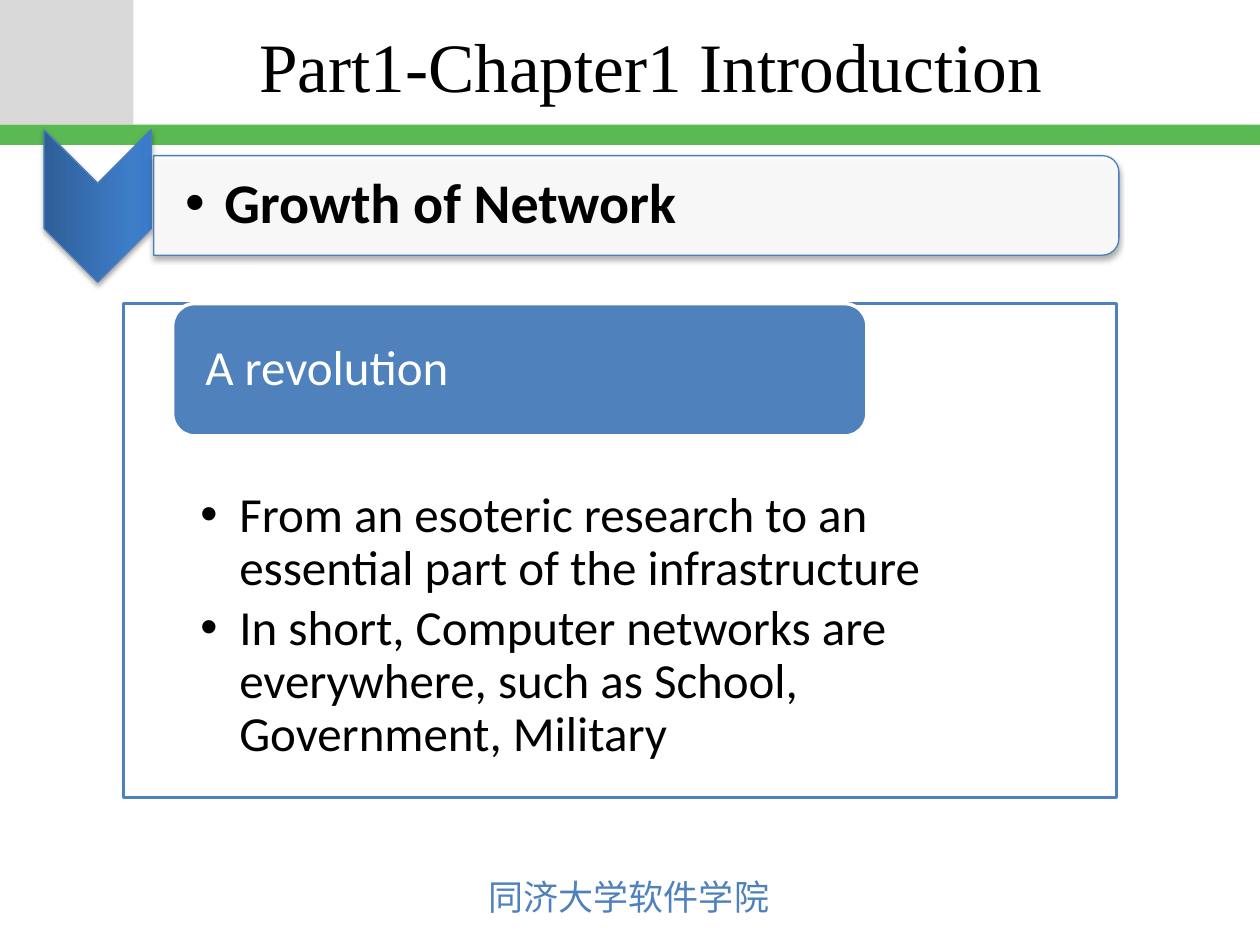
from dataclasses import dataclass

from lxml.etree import SubElement
from pptx import Presentation
from pptx.dml.color import RGBColor
from pptx.enum.shapes import MSO_SHAPE as Shape
from pptx.enum.text import MSO_ANCHOR as Anchor, PP_ALIGN as Align
from pptx.oxml import parse_xml
from pptx.oxml.ns import nsdecls, qn
from pptx.util import Inches, Pt

COLUMNS, ROWS = 100, 75
CELL = Inches(10) // COLUMNS
BLUE, EDGE, WHITE, BLACK = "4F81BD", "4B7EBC", "FFFFFF", "000000"
HANGING = 3.1


@dataclass
class Box:
    """An area of the slide, measured in grid cells."""
    left: float
    top: float
    width: float
    height: float

    def within(self, left, top, width, height):
        """Return a box placed relative to this one."""
        return Box(self.left + left, self.top + top, width, height)

    def emu(self):
        """Return left, top, width and height as lengths."""
        return [cells(n) for n in (self.left, self.top, self.width, self.height)]


def cells(count):
    """Turn grid cells into a length."""
    return round(count * CELL)


def color(hex_code):
    """Turn a hex string into a colour."""
    return RGBColor.from_string(hex_code)


def add_block(slide, kind, box, fill, edge=None, edge_width=2, turn=0, opacity=100):
    """Add a preset shape with a plain fill and an optional outline."""
    block = slide.shapes.add_shape(kind, *box.emu())
    block.shadow.inherit = False
    block.rotation = turn
    block.fill.solid()
    block.fill.fore_color.rgb = color(fill)
    if opacity < 100:
        tint = block._element.spPr.find(f"{qn('a:solidFill')}/{qn('a:srgbClr')}")
        SubElement(tint, qn("a:alpha"), val=str(opacity * 1000))
    if edge:
        block.line.color.rgb = color(edge)
        block.line.width = Pt(edge_width)
    else:
        block.line.fill.background()
    return block


def add_soft_shadow(block):
    """Drop a soft shadow below a shape."""
    effects = block._element.spPr.find(qn("a:effectLst"))
    effects.append(parse_xml(
        f'<a:outerShdw {nsdecls("a")} blurRad="{Pt(3.1)}" dist="{Pt(1.8)}" dir="5400000"'
        f' rotWithShape="0"><a:srgbClr val="{BLACK}"><a:alpha val="35000"/></a:srgbClr>'
        '</a:outerShdw>'))


def shade(block, stops, angle):
    """Replace a plain fill by a linear gradient."""
    steps = "".join(f'<a:gs pos="{share * 1000}"><a:srgbClr val="{tone}"/></a:gs>'
                    for share, tone in stops)
    plain = block._element.spPr.find(qn("a:solidFill"))
    plain.getparent().replace(plain, parse_xml(
        f'<a:gradFill {nsdecls("a")} rotWithShape="1"><a:gsLst>{steps}</a:gsLst>'
        f'<a:lin ang="{angle * 60000}" scaled="0"/></a:gradFill>'))


def add_bullet(paragraph):
    """Give a paragraph a round bullet and a hanging indent."""
    properties = paragraph._p.get_or_add_pPr()
    properties.set("marL", str(cells(HANGING)))
    properties.set("indent", str(-cells(HANGING)))
    SubElement(properties, qn("a:buFont"), typeface="Arial")
    SubElement(properties, qn("a:buChar"), char="•")


def add_text(slide, box, lines, size, tone, font="Calibri", bold=False, bullets=False,
             align=Align.LEFT, anchor=Anchor.MIDDLE, insets=(1, 0.5, 1, 0.5),
             spacing=0.9, wrap=True):
    """Add a text box with one run in each paragraph."""
    frame = slide.shapes.add_textbox(*box.emu()).text_frame
    frame.word_wrap = wrap
    frame.vertical_anchor = anchor
    (frame.margin_left, frame.margin_top,
     frame.margin_right, frame.margin_bottom) = map(cells, insets)
    for index, line in enumerate(lines):
        paragraph = frame.add_paragraph() if index else frame.paragraphs[0]
        if bullets:
            add_bullet(paragraph)
        paragraph.alignment = align
        paragraph.line_spacing = spacing
        paragraph.space_after = Pt(4) if len(lines) > 1 else Pt(0)
        run = paragraph.add_run()
        run.text = line
        run.font.size, run.font.name, run.font.bold = Pt(size), font, bold
        run.font.color.rgb = color(tone)
        if not line.isascii():
            SubElement(run._r.get_or_add_rPr(), qn("a:ea"), typeface=font)


def add_header(slide, box):
    """Draw the corner, the green band and the title."""
    band = 1.6
    above = box.height - band
    add_block(slide, Shape.RECTANGLE, box.within(0, 0, 10.6, above), "D9D9D9")
    add_block(slide, Shape.RECTANGLE, box.within(0, above, box.width, band), "5AB953")
    add_text(slide, box.within(17.4, 0.2, 68.5, 9.8), ["Part1-Chapter1 Introduction"],
             39.6, BLACK, "Times New Roman", align=Align.CENTER, spacing=1)


def add_topic(slide, box):
    """Draw the chevron and the topic bar beside it."""
    length, breadth = 12.1, 8.5
    chevron = add_block(
        slide, Shape.CHEVRON,
        box.within((breadth - length) / 2, (length - breadth) / 2, length, breadth),
        BLUE, EDGE, 0.75, turn=90)
    shade(chevron, [(0, "2F5F99"), (80, "3D7CC7"), (100, "3A7CCB")], 270)
    add_soft_shadow(chevron)
    width, height = box.width - breadth - 0.2, 7.9
    bar = box.within(box.width - width, 2.05, width, height)
    rounded = add_block(
        slide, Shape.ROUND_2_SAME_RECTANGLE,
        bar.within((width - height) / 2, (height - width) / 2, height, width),
        WHITE, EDGE, 0.75, turn=90, opacity=90)
    add_soft_shadow(rounded)
    add_text(slide, bar.within(0, 0.4, width - 0.4, height - 0.8), ["Growth of Network"],
             32, BLACK, bold=True, bullets=True, insets=(2.5, 0.2, 0.2, 0.2))


def add_panel(slide, box):
    """Draw the framed points with their heading tab."""
    add_block(slide, Shape.RECTANGLE, box, WHITE, BLUE, opacity=90)
    add_text(slide, box, [
        "From an esoteric research to an essential part of the infrastructure",
        "In short, Computer networks are everywhere, such as School, Government, Military",
    ], 28, BLACK, bullets=True, anchor=Anchor.TOP, insets=(6.1, 14.8, 6.1, 2.2))
    tab = box.within(3.9, 0, 55.1, 10.5)
    add_block(slide, Shape.ROUNDED_RECTANGLE, tab, BLUE, WHITE)
    add_text(slide, tab.within(0.5, 0.5, 54.1, 9.4), ["A revolution"], 28, WHITE,
             insets=(2.1, 0, 2.1, 0))


def add_footer(slide, box):
    """Write the name of the school."""
    add_text(slide, box, ["同济大学软件学院"], 20, BLUE, "Noto Sans CJK JP",
             anchor=Anchor.TOP, spacing=1, wrap=False)


def main():
    """Build the slide and save it."""
    deck = Presentation()
    deck.slide_width, deck.slide_height = cells(COLUMNS), cells(ROWS)
    slide = deck.slides.add_slide(deck.slide_layouts[6])
    add_header(slide, Box(0, 0, COLUMNS, 11.5))
    add_footer(slide, Box(37.8, 69, 24.5, 4.4))
    add_topic(slide, Box(3.5, 10.3, 85.3, 12.1))
    add_panel(slide, Box(9.8, 24.1, 78.8, 39.2))
    deck.save("out.pptx")


if __name__ == "__main__":
    main()
